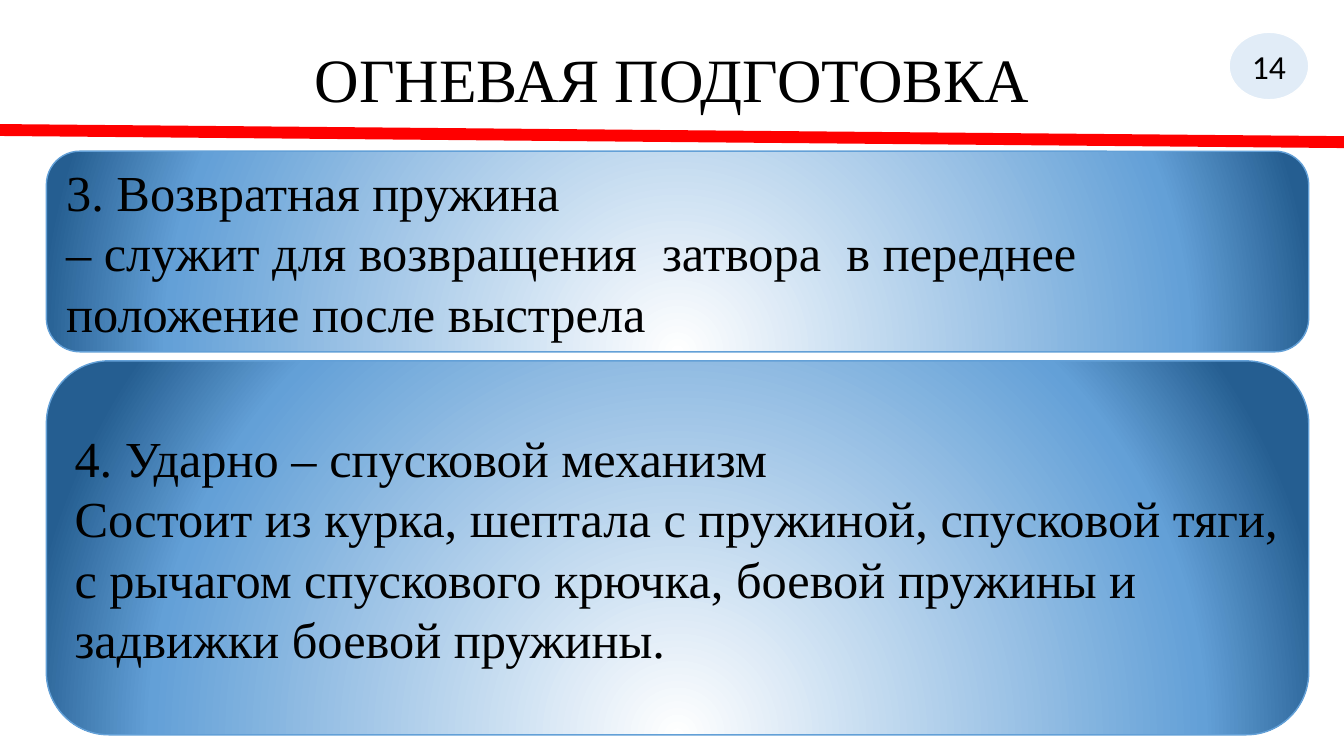
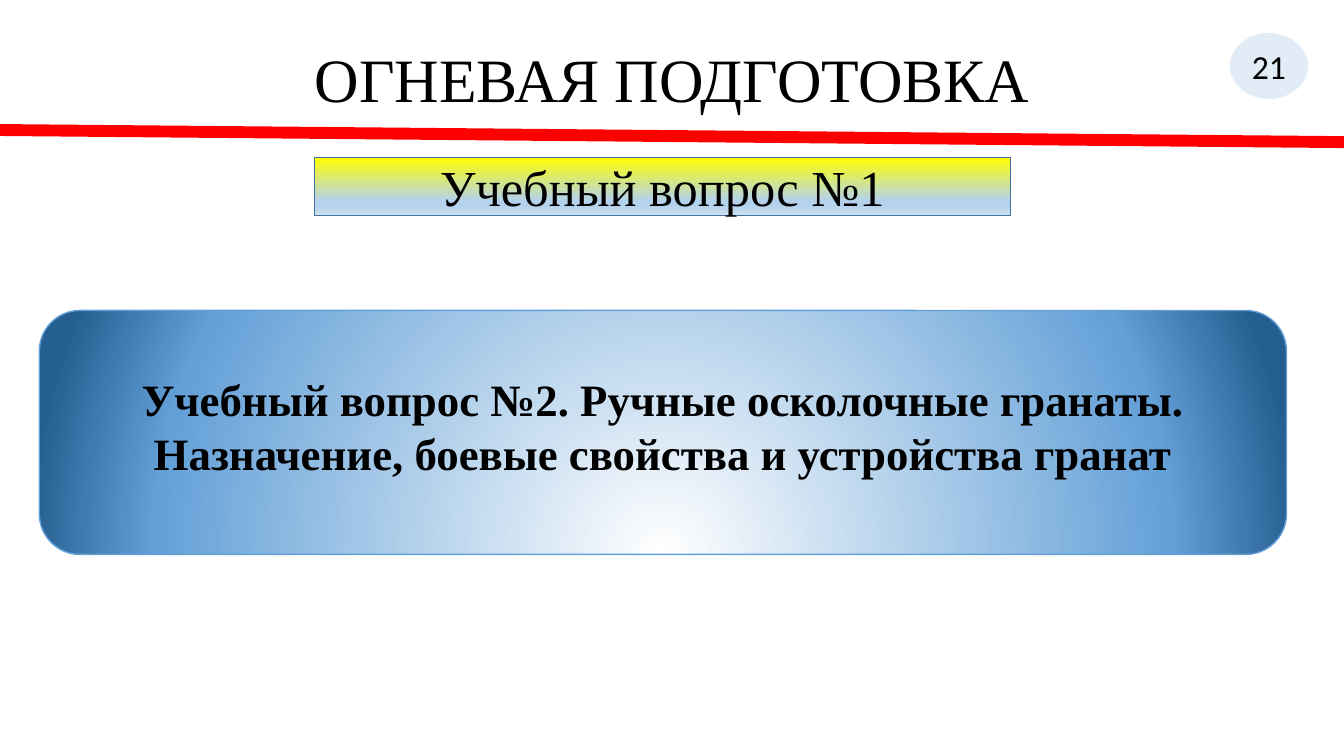
from dataclasses import dataclass

from lxml.etree import SubElement
from pptx import Presentation
from pptx.dml.color import RGBColor
from pptx.enum.shapes import MSO_CONNECTOR as Link, MSO_SHAPE as Kind
from pptx.enum.text import MSO_ANCHOR as Anchor, PP_ALIGN as Align
from pptx.oxml import parse_xml
from pptx.oxml.ns import nsdecls, qn
from pptx.shapes.autoshape import Shape
from pptx.slide import Slide
from pptx.text.text import TextFrame
from pptx.util import Inches, Pt


@dataclass(frozen=True)
class Theme:
    serif: str = "Times New Roman"
    sans: str = "Calibri"
    ink: str = "000000"
    white: str = "FFFFFF"
    red: str = "FF0000"
    badge: str = "5B9BD5"
    edge: str = "63A0D7"
    rim: str = "43739E"
    head: int = 44
    body: int = 36
    topic: int = 32
    count: int = 24


T = Theme()


@dataclass(frozen=True)
class Fade:
    stops: tuple[tuple[int, str], ...]
    shade: str


GLOW = Fade(
    ((0, T.white), (80, T.edge), (100, "255E91")),
    '<a:path path="circle">'
    '<a:fillToRect l="50000" t="130000" r="50000" b="-30000"/></a:path>',
)
SUN = Fade(
    ((0, "FFFF00"), (74, "B5D2EC"), (83, "B5D2EC"), (100, "CEE1F2")),
    '<a:lin ang="5400000" scaled="0"/>',
)


@dataclass(frozen=True)
class Panel:
    box: tuple[float, float, float, float]
    lines: tuple[str, ...]
    size: int = T.body
    bold: bool = False
    align: Align = Align.LEFT
    kind: Kind = Kind.ROUNDED_RECTANGLE
    fade: Fade = GLOW
    edge: str = T.edge
    foot: float = 0.05


@dataclass(frozen=True)
class Page:
    number: int
    panels: tuple[Panel, ...]


PAGES = (
    Page(14, (
        Panel((0.46, 1.5, 12.52, 1.99), (
            "3.\tВозвратная пружина",
            "– служит для возвращения  затвора  в переднее положение после выстрела",
        )),
        Panel((0.46, 3.58, 12.52, 3.71), (
            "4.\tУдарно – спусковой механизм",
            "Состоит из курка, шептала с пружиной, спусковой тяги, с рычагом "
            "спускового крючка, боевой пружины и задвижки боевой пружины.",
        )),
    )),
    Page(21, (
        Panel((0.39, 3.08, 12.37, 2.42), (
            "Учебный вопрос №2. Ручные осколочные гранаты. "
            "Назначение, боевые свойства и устройства гранат",
        ), T.topic, True, Align.CENTER, foot=0.18),
        Panel((3.12, 1.56, 6.9, 0.58), ("Учебный вопрос №1",),
              align=Align.CENTER, kind=Kind.RECTANGLE, fade=SUN, edge=T.rim),
    )),
)


def rgb(code: str) -> RGBColor:
    return RGBColor.from_string(code)


def write(frame: TextFrame, lines: tuple[str, ...], size: int, align: Align,
          face: str = T.serif, bold: bool = False) -> None:
    frame.word_wrap = True
    for i, line in enumerate(lines):
        para = frame.paragraphs[0] if i == 0 else frame.add_paragraph()
        para.alignment = align
        run = para.add_run()
        run.text = line
        font = run.font
        font.name, font.size, font.bold = face, Pt(size), bold
        font.color.rgb = rgb(T.ink)


def add_box(slide: Slide, kind: Kind, box: tuple[float, ...], edge: str) -> Shape:
    shape = slide.shapes.add_shape(kind, *map(Inches, box))
    shape.shadow.inherit = False
    shape.line.color.rgb = rgb(edge)
    shape.line.width = Pt(1)
    shape.text_frame.vertical_anchor = Anchor.MIDDLE
    return shape


def blend(shape: Shape, fade: Fade) -> None:
    stops = "".join(
        f'<a:gs pos="{pos * 1000}"><a:srgbClr val="{code}"/></a:gs>'
        for pos, code in fade.stops
    )
    fill = parse_xml(
        f'<a:gradFill {nsdecls("a")} rotWithShape="1">'
        f"<a:gsLst>{stops}</a:gsLst>{fade.shade}</a:gradFill>"
    )
    shape.element.spPr.find(qn("a:prstGeom")).addnext(fill)


def add_frame(slide: Slide, number: int) -> None:
    # Title
    title = slide.shapes.title
    title.left, title.top, title.width, title.height = map(
        Inches, (0.92, 0.4, 11.5, 1.45))
    frame = title.text_frame
    frame.vertical_anchor = Anchor.TOP
    frame.margin_top = Inches(0.09)
    write(frame, ("ОГНЕВАЯ ПОДГОТОВКА",), T.head, Align.CENTER)
    frame.paragraphs[0].line_spacing = 0.9

    # Red rule
    rule = slide.shapes.add_connector(
        Link.STRAIGHT, *map(Inches, (0, 1.29, 13.33, 1.41)))
    rule.line.color.rgb = rgb(T.red)
    rule.line.width = Pt(8.5)
    SubElement(rule.element.spPr, qn("a:effectLst"))

    # Page badge
    badge = add_box(slide, Kind.OVAL, (12.19, 0.32, 0.79, 0.67), T.white)
    badge.fill.solid()
    badge.fill.fore_color.rgb = rgb(T.badge)
    tint = badge.element.spPr.find(qn("a:solidFill")).find(qn("a:srgbClr"))
    SubElement(tint, qn("a:alpha"), val="18000")
    badge.text_frame.margin_left = badge.text_frame.margin_right = 0
    write(badge.text_frame, (str(number),), T.count, Align.CENTER, T.sans)


def add_panel(slide: Slide, panel: Panel) -> None:
    shape = add_box(slide, panel.kind, panel.box, panel.edge)
    blend(shape, panel.fade)
    shape.text_frame.margin_bottom = Inches(panel.foot)
    write(shape.text_frame, panel.lines, panel.size, panel.align, bold=panel.bold)


def main() -> None:
    deck = Presentation()
    deck.slide_width, deck.slide_height = Inches(13.33), Inches(7.5)
    for page in PAGES:
        slide = deck.slides.add_slide(deck.slide_layouts[5])
        add_frame(slide, page.number)
        for panel in page.panels:
            add_panel(slide, panel)
    deck.save("out.pptx")


if __name__ == "__main__":
    main()
